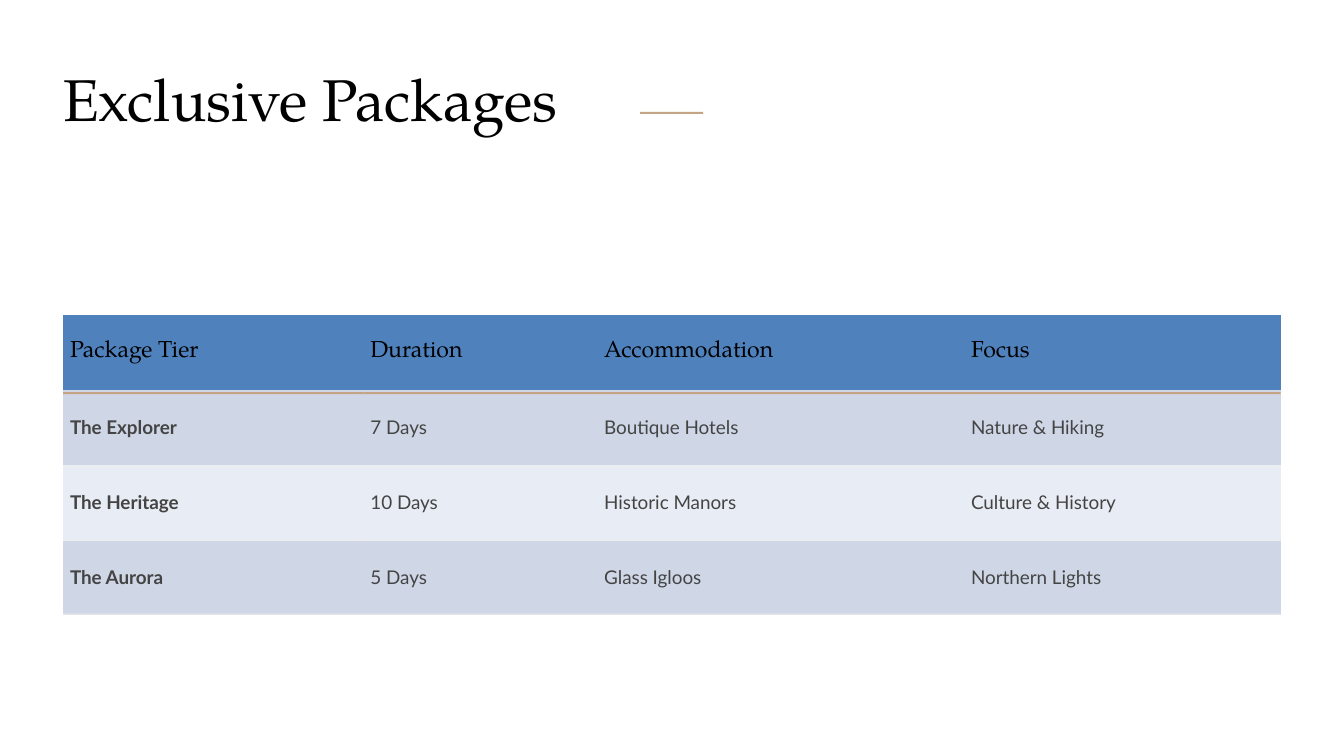
from itertools import accumulate
from typing import NamedTuple

from pptx import Presentation
from pptx.dml.color import RGBColor
from pptx.enum.shapes import MSO_SHAPE
from pptx.enum.text import MSO_ANCHOR, MSO_AUTO_SIZE
from pptx.util import Pt

NO_GRID = "{2D5ABB26-0587-4C30-8999-92F81FD0307C}"
LEFT, TOP, ROW = 45, 225, 53.6
COLS = [214.6, 167, 262.1, 226.1]
TAN, PALE = "C4A484", "EEEEEE"
CELLS = [
    ["Package Tier", "Duration", "Accommodation", "Focus"],
    ["The Explorer", "7 Days", "Boutique Hotels", "Nature & Hiking"],
    ["The Heritage", "10 Days", "Historic Manors", "Culture & History"],
    ["The Aurora", "5 Days", "Glass Igloos", "Northern Lights"],
]


class Style(NamedTuple):
    face: str
    size: float
    color: str


class Rule(NamedTuple):
    left: float
    top: float
    width: float
    height: float
    color: str


TITLE = Style("TeX Gyre Pagella", 42, "000000")
HEAD = Style("TeX Gyre Pagella", 16.5, "000000")
BODY = Style("Lato", 13.5, "444444")


def paint(fill, color: str) -> None:
    fill.solid()
    fill.fore_color.rgb = RGBColor.from_string(color)


def write(frame, text: str, style: Style, bold: bool = False) -> None:
    line = frame.paragraphs[0]
    line.text = text
    font = line.font
    font.name, font.size, font.bold = style.face, Pt(style.size), bold
    paint(font.fill, style.color)


def draw(slide, rule: Rule) -> None:
    bar = slide.shapes.add_shape(
        MSO_SHAPE.RECTANGLE, *(Pt(n) for n in rule[:4]))
    bar.shadow.inherit = False
    paint(bar.fill, rule.color)
    bar.line.fill.background()


def add_title(slide) -> None:
    frame = slide.shapes.add_textbox(Pt(LEFT), Pt(45), Pt(913.7), Pt(56)).text_frame
    frame.margin_left = frame.margin_right = 0
    frame.margin_top = frame.margin_bottom = 0
    frame.word_wrap = True
    frame.auto_size = MSO_AUTO_SIZE.SHAPE_TO_FIT_TEXT
    write(frame, "Exclusive Packages", TITLE)


def add_grid(slide) -> None:
    frame = slide.shapes.add_table(
        len(CELLS), len(COLS), Pt(LEFT), Pt(TOP), Pt(sum(COLS)), Pt(ROW * len(CELLS)))
    table = frame.table
    # Plain style without borders
    table._tbl.tblPr.find("{*}tableStyleId").text = NO_GRID
    for col, width in zip(table.columns, COLS):
        col.width = Pt(width)
    for r, texts in enumerate(CELLS):
        table.rows[r].height = Pt(ROW)
        back = "4F81BD" if r == 0 else "CFD7E7" if r % 2 else "E8ECF4"
        for c, text in enumerate(texts):
            cell = table.cell(r, c)
            cell.margin_left = cell.margin_right = Pt(5)
            cell.margin_top = cell.margin_bottom = Pt(2.25)
            cell.vertical_anchor = MSO_ANCHOR.MIDDLE
            paint(cell.fill, back)
            write(cell.text_frame, text, BODY if r else HEAD, r > 0 and c == 0)


def main() -> None:
    deck = Presentation()
    deck.slide_width, deck.slide_height = Pt(960), Pt(540)
    slide = deck.slides.add_slide(deck.slide_layouts[6])

    # Title and its accent
    add_title(slide)
    draw(slide, Rule(457.2, 79.9, 45, 1.5, TAN))

    # Package table
    add_grid(slide)

    # Rules under each row, one per column
    lefts = list(accumulate(COLS, initial=LEFT))
    for r in range(len(CELLS)):
        high, color = (0.75, PALE) if r else (1.5, TAN)
        for left, width in zip(lefts, COLS):
            draw(slide, Rule(left, 280 + 52.8 * r, width, high, color))

    deck.save("out.pptx")


if __name__ == "__main__":
    main()
